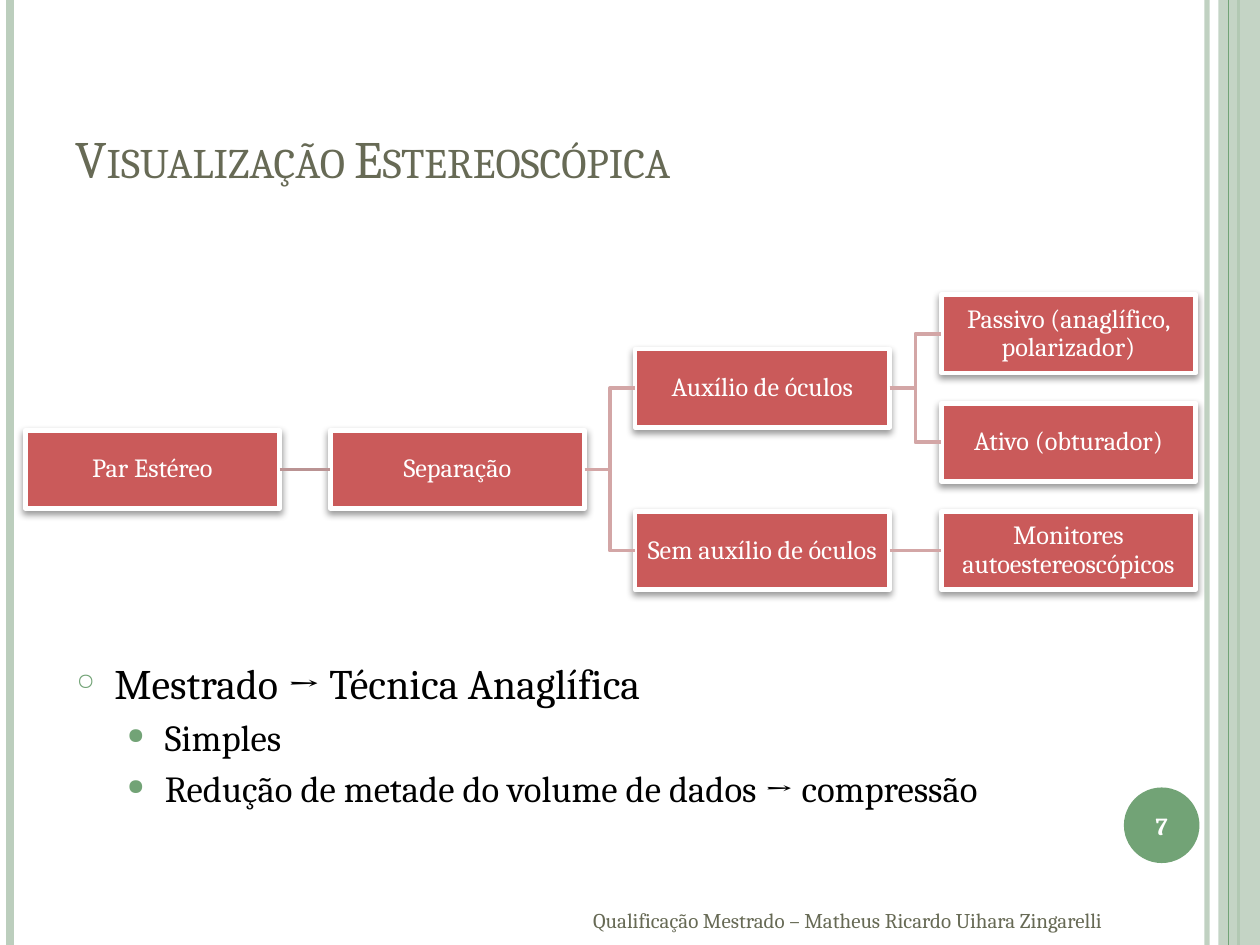
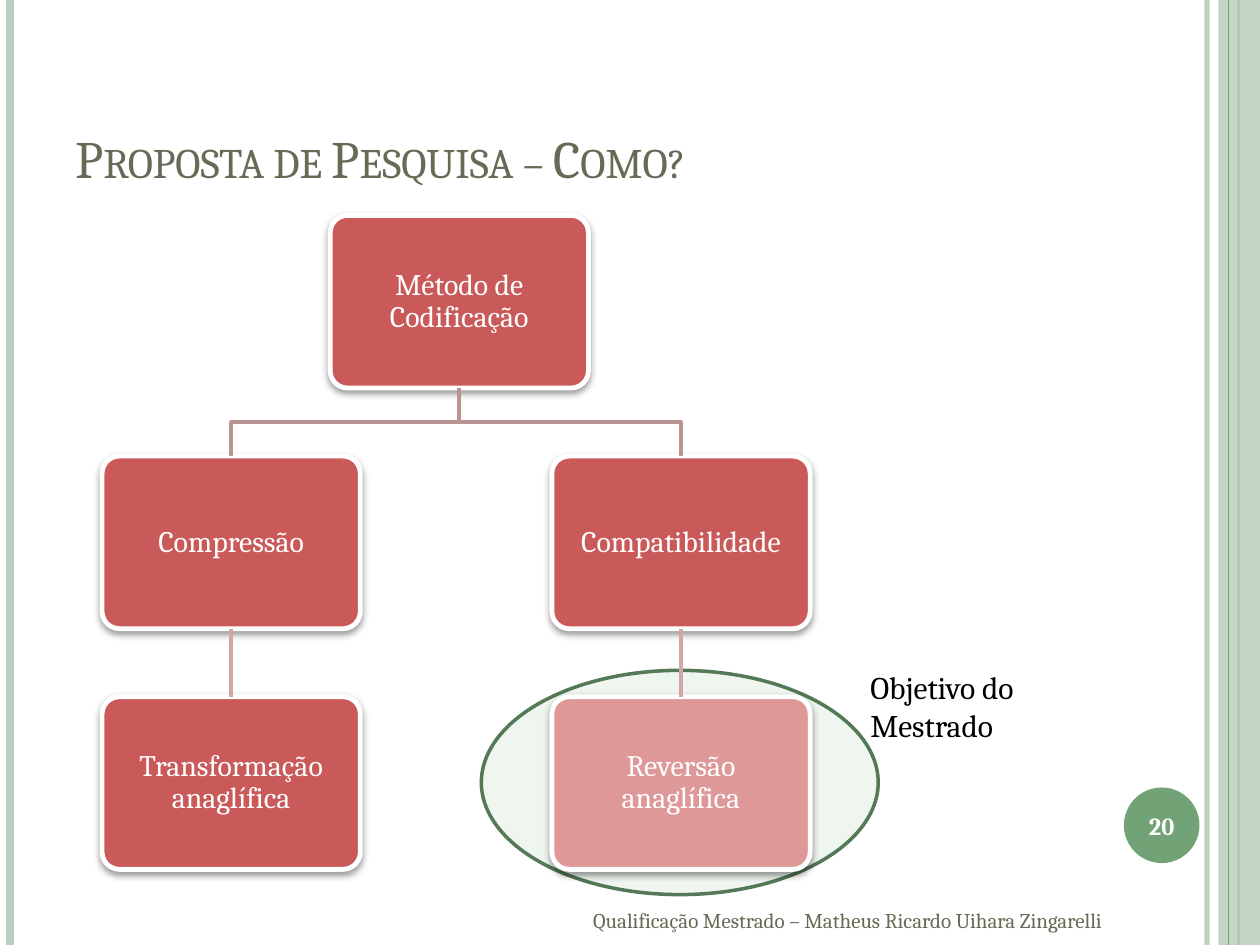
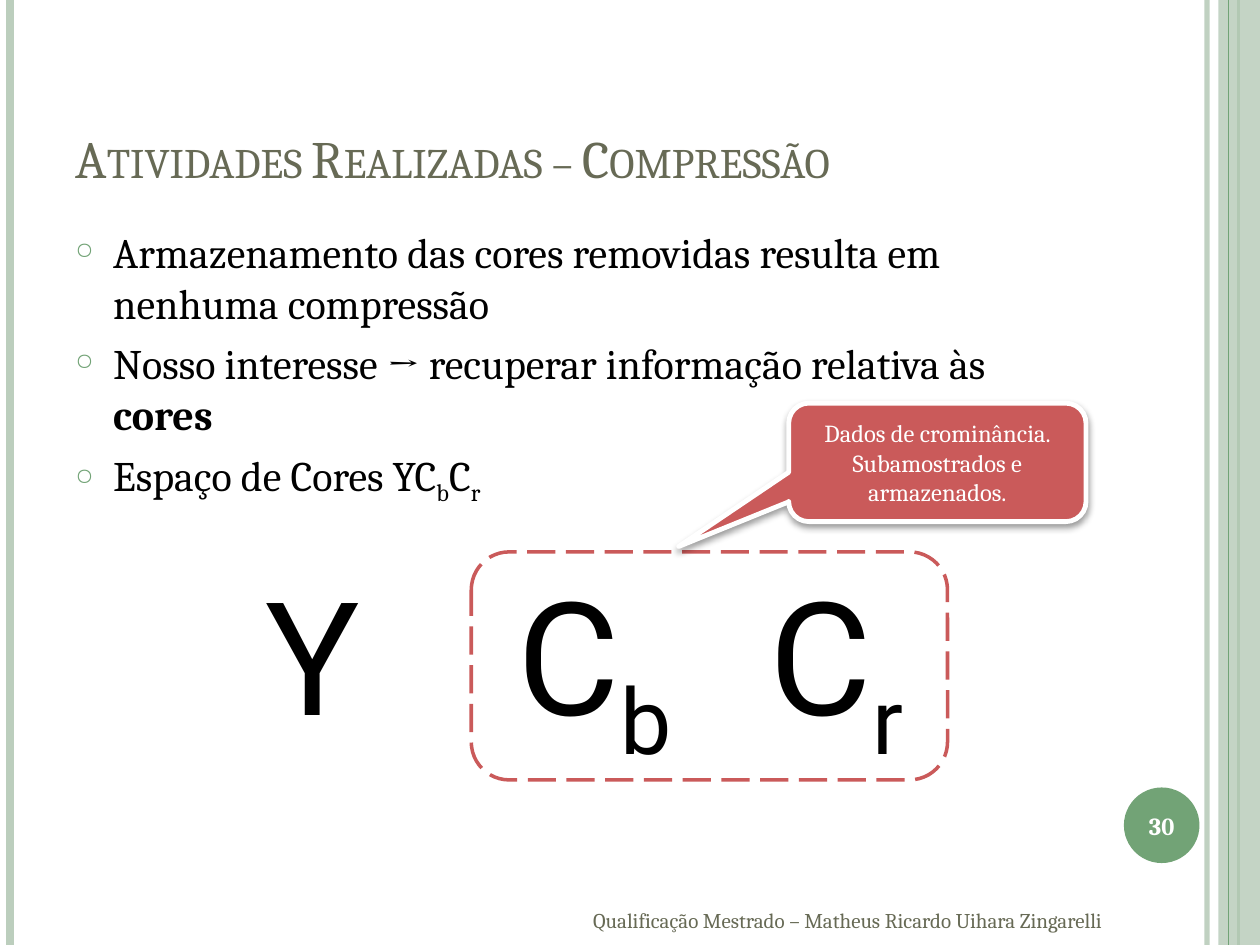
from lxml.etree import SubElement
from pptx import Presentation
from pptx.dml.color import RGBColor
from pptx.enum.dml import MSO_LINE
from pptx.enum.shapes import MSO_CONNECTOR, MSO_SHAPE
from pptx.enum.text import MSO_ANCHOR, PP_ALIGN
from pptx.oxml.ns import qn
from pptx.util import Inches, Pt

STRAIGHT = MSO_CONNECTOR.STRAIGHT
RECTANGLE, ROUNDED, OVAL = MSO_SHAPE.RECTANGLE, MSO_SHAPE.ROUNDED_RECTANGLE, MSO_SHAPE.OVAL
CALLOUT = MSO_SHAPE.ROUNDED_RECTANGULAR_CALLOUT
LEFT, CENTER = PP_ALIGN.LEFT, PP_ALIGN.CENTER
TOP, MIDDLE, BOTTOM = MSO_ANCHOR.TOP, MSO_ANCHOR.MIDDLE, MSO_ANCHOR.BOTTOM
LONG_DASH = MSO_LINE.LONG_DASH

WHITE = RGBColor(0xFF, 0xFF, 0xFF)
BLACK = RGBColor(0x00, 0x00, 0x00)
OLIVE = RGBColor(0x67, 0x6A, 0x55)
GREEN = RGBColor(0x72, 0xA3, 0x76)
PALE_GREEN = RGBColor(0xBC, 0xCE, 0xBD)
DARK_GREEN = RGBColor(0x54, 0x79, 0x57)
MIST = RGBColor(0xEF, 0xF5, 0xEF)
RED = RGBColor(0xCA, 0x5A, 0x5A)
LIGHT_RED = RGBColor(0xDE, 0x98, 0x98)
ROOT_LINK = RGBColor(0xBA, 0x93, 0x93)
CHILD_LINK = RGBColor(0xD3, 0xA6, 0xA6)

FONT = "Cambria"
FOOTER = "Qualificação Mestrado – Matheus Ricardo Uihara Zingarelli"
WIDTH, HEIGHT = 10, 7.5


def write(shape, paragraphs, size, color, align=LEFT, anchor=TOP, font=FONT, inset=None):
    frame = shape.text_frame
    frame.word_wrap = True
    frame.vertical_anchor = anchor
    if inset is not None:
        frame.margin_left = frame.margin_right = Inches(inset)
        frame.margin_top = frame.margin_bottom = Inches(inset)
    for index, spans in enumerate(paragraphs):
        para = frame.add_paragraph() if index else frame.paragraphs[0]
        para.alignment = align
        for text, style in spans:
            span = para.add_run()
            span.text = text
            span.font.name = font
            span.font.size = Pt(size)
            span.font.color.rgb = color
            span.font.bold = style == "bold"
            if style == "sub":
                span.font._element.set("baseline", "-25000")
            if style == "caps":
                span.font._element.set("cap", "small")
    return frame


def paint(shape, fill=None, line=None, width=2, shadow=False):
    if fill is None:
        shape.fill.background()
    else:
        shape.fill.solid()
        shape.fill.fore_color.rgb = fill
    if line is None:
        shape.line.fill.background()
    else:
        shape.line.color.rgb = line
        shape.line.width = Pt(width)
    shape.shadow.inherit = False
    if shadow:
        effects = shape.element.spPr.find(qn("a:effectLst"))
        outer = SubElement(effects, qn("a:outerShdw"), blurRad=str(Pt(4)), dist=str(Pt(2)),
                           dir="5400000", rotWithShape="0")
        tone = SubElement(outer, qn("a:srgbClr"), val="000000")
        SubElement(tone, qn("a:alpha"), val="40000")


deck = Presentation()
deck.slide_width, deck.slide_height = Inches(WIDTH), Inches(HEIGHT)

pages = []
for title, number in (("Visualização Estereoscópica", "7"),
                      ("Proposta de Pesquisa – Como?", "20"),
                      ("Atividades Realizadas – Compressão", "30")):
    page = deck.slides.add_slide(deck.slide_layouts[6])
    pages.append(page)

    for x, color, width, opacity in ((9.58, PALE_GREEN, 3, 93), (0.08, PALE_GREEN, 4.5, 100),
                                     (9.83, GREEN, 1.5, 100), (9.75, GREEN, 0.75, 100)):
        if x == 9.75:
            band = page.shapes.add_shape(RECTANGLE, Inches(9.67), 0, Inches(0.33), Inches(HEIGHT))
            paint(band, PALE_GREEN)
            tone = next(band.element.spPr.iter(qn("a:srgbClr")))
            SubElement(tone, qn("a:alpha"), val="87000")
        rule = page.shapes.add_connector(STRAIGHT, Inches(x), 0, Inches(x), Inches(HEIGHT))
        rule.line.color.rgb = color
        rule.line.width = Pt(width)
        SubElement(rule.element.spPr, qn("a:effectLst"))
        tone = next(rule.element.spPr.iter(qn("a:srgbClr")))
        SubElement(tone, qn("a:alpha"), val=str(opacity * 1000))

    badge = page.shapes.add_shape(OVAL, Inches(8.92), Inches(6.25), Inches(0.6), Inches(0.6))
    paint(badge, GREEN)
    write(badge, [[(number, "bold")]], 14, WHITE, CENTER, MIDDLE, inset=0)
    heading = page.shapes.add_textbox(Inches(0.5), Inches(0.3), Inches(8.17), Inches(1.25))
    write(heading, [[(title, "caps")]], 30, OLIVE, anchor=BOTTOM)
    footer = page.shapes.add_textbox(Inches(4.61), Inches(7.1), Inches(4.96), Inches(0.4))
    write(footer, [[(FOOTER, None)]], 12, OLIVE, anchor=MIDDLE)

viewing_page, method_page, colour_page = pages

goal = method_page.shapes.add_shape(OVAL, Inches(3.82), Inches(5.32), Inches(3.15), Inches(1.78))
paint(goal, MIST, DARK_GREEN)

viewing_nodes = (
    ("Par Estéreo", None, 0, 2.5),
    ("Separação", "Par Estéreo", 1, 2.5),
    ("Auxílio de óculos", "Separação", 2, 1),
    ("Passivo (anaglífico, polarizador)", "Auxílio de óculos", 3, 0),
    ("Ativo (obturador)", "Auxílio de óculos", 3, 2),
    ("Sem auxílio de óculos", "Separação", 2, 4),
    ("Monitores autoestereoscópicos", "Sem auxílio de óculos", 3, 4),
)
method_nodes = (
    ("Método de Codificação", None, 1, 0),
    ("Compressão", "Método de Codificação", 0, 1),
    ("Transformação anaglífica", "Compressão", 0, 2),
    ("Compatibilidade", "Método de Codificação", 2, 1),
    ("Reversão anaglífica", "Compatibilidade", 2, 2),
)
trees = (
    (viewing_page, RECTANGLE, viewing_nodes, (0.2, 2.62, 5.04, 7.47), 2.34, 0.43,
     2.02, 0.62, 15, 0.01, True),
    (method_page, ROUNDED, method_nodes, (0.81, 2.62, 4.38), 1.71, 1.91,
     2.05, 1.37, 17, 0.11, False),
)
for page, kind, nodes, columns, top, pitch, width, height, size, inset, sideways in trees:
    cards = {}
    for label, parent, column, row in nodes:
        card = page.shapes.add_shape(kind, Inches(columns[column]), Inches(top + pitch * row),
                                     Inches(width), Inches(height))
        if kind == ROUNDED:
            card.adjustments[0] = 0.1
        paint(card, LIGHT_RED if label == "Reversão anaglífica" else RED, WHITE, 2.75, True)
        frame = write(card, [[(label, None)]], size, WHITE, CENTER, MIDDLE, inset=inset)
        frame.paragraphs[0].line_spacing = 0.9
        cards[label] = card

    for label, parent, column, row in nodes:
        if parent is None:
            continue
        start, end = cards[parent], cards[label]
        if sideways:
            x1, y1 = start.left + start.width, start.top + start.height // 2
            x2, y2 = end.left, end.top + end.height // 2
            middle = (x1 + x2) // 2
            bends = [(middle, y1), (middle, y2), (x2, y2)]
            aligned = y1 == y2
        else:
            x1, y1 = start.left + start.width // 2, start.top + start.height
            x2, y2 = end.left + end.width // 2, end.top
            middle = (y1 + y2) // 2
            bends = [(x1, middle), (x2, middle), (x2, y2)]
            aligned = x1 == x2
        color = ROOT_LINK if parent == nodes[0][0] else CHILD_LINK
        if aligned:
            link = page.shapes.add_connector(STRAIGHT, x1, y1, x2, y2)
            link.begin_connect(start, 3 if sideways else 2)
            link.end_connect(end, 1 if sideways else 0)
            link.line.color.rgb = color
            link.line.width = Pt(2)
            SubElement(link.element.spPr, qn("a:effectLst"))
        else:
            builder = page.shapes.build_freeform(x1, y1)
            builder.add_line_segments(bends, close=False)
            paint(builder.convert_to_shape(), None, color)

note = method_page.shapes.add_textbox(Inches(6.81), Inches(5.25), Inches(1.57), Inches(0.71))
write(note, [[("Objetivo do Mestrado", None)]], 18, BLACK)

viewing_points = (
    (0, [("Mestrado → Técnica Anaglífica", None)]),
    (1, [("Simples", None)]),
    (1, [("Redução de metade do volume de dados → compressão", None)]),
)
colour_points = (
    (0, [("Armazenamento das cores removidas resulta em nenhuma compressão", None)]),
    (0, [("Nosso interesse → recuperar informação relativa às ", None), ("cores", "bold")]),
    (0, [("Espaço de Cores YC", None), ("b", "sub"), ("C", None), ("r", "sub")]),
)
levels = ((24, 6, 0.3, "○", 55), (21, 4, 0.7, "●", 60))
for page, points, left, top, width, height in (
        (viewing_page, viewing_points, 0.51, 5.17, 8.59, 1.89),
        (colour_page, colour_points, 0.5, 1.75, 8.17, 5.33)):
    body = page.shapes.add_textbox(Inches(left), Inches(top), Inches(width), Inches(height))
    frame = write(body, [spans for level, spans in points], 24, BLACK)
    for para, (level, spans) in zip(frame.paragraphs, points):
        size, before, indent, bullet, scale = levels[level]
        para.level = level
        para.space_before = Pt(before)
        for span in para.runs:
            span.font.size = Pt(size)
        properties = para._p.get_or_add_pPr()
        properties.set("marL", str(Inches(indent)))
        properties.set("indent", str(Inches(-0.3)))
        tone = SubElement(properties, qn("a:buClr"))
        SubElement(tone, qn("a:srgbClr"), val=str(GREEN))
        SubElement(properties, qn("a:buSzPct"), val=str(scale * 1000))
        SubElement(properties, qn("a:buChar"), char=bullet)

letters = colour_page.shapes.add_textbox(Inches(2.01), Inches(4.38), Inches(5.51), Inches(1.62))
frame = write(letters, [[("Y\t\tC", None), ("b", "sub"), ("\tC", None), ("r", "sub")]], 90, BLACK,
              font="Roboto")
stops = SubElement(frame.paragraphs[0]._p.get_or_add_pPr(), qn("a:tabLst"))
for stop in (1, 2, 4):
    SubElement(stops, qn("a:tab"), pos=str(Inches(stop)), algn="l")

chroma = colour_page.shapes.add_shape(ROUNDED, Inches(3.74), Inches(4.38), Inches(3.78), Inches(1.81))
paint(chroma, None, RED)
chroma.line.dash_style = LONG_DASH

callout = colour_page.shapes.add_shape(CALLOUT, Inches(6.26), Inches(3.2), Inches(2.36), Inches(0.94))
for index, value in enumerate((-0.87, 0.71, 0.17)):
    callout.adjustments[index] = value
paint(callout, RED, WHITE, 2.75, True)
write(callout, [[("Dados de crominância. Subamostrados e armazenados.", None)]], 14, WHITE,
      CENTER, MIDDLE)

deck.save("out.pptx")
